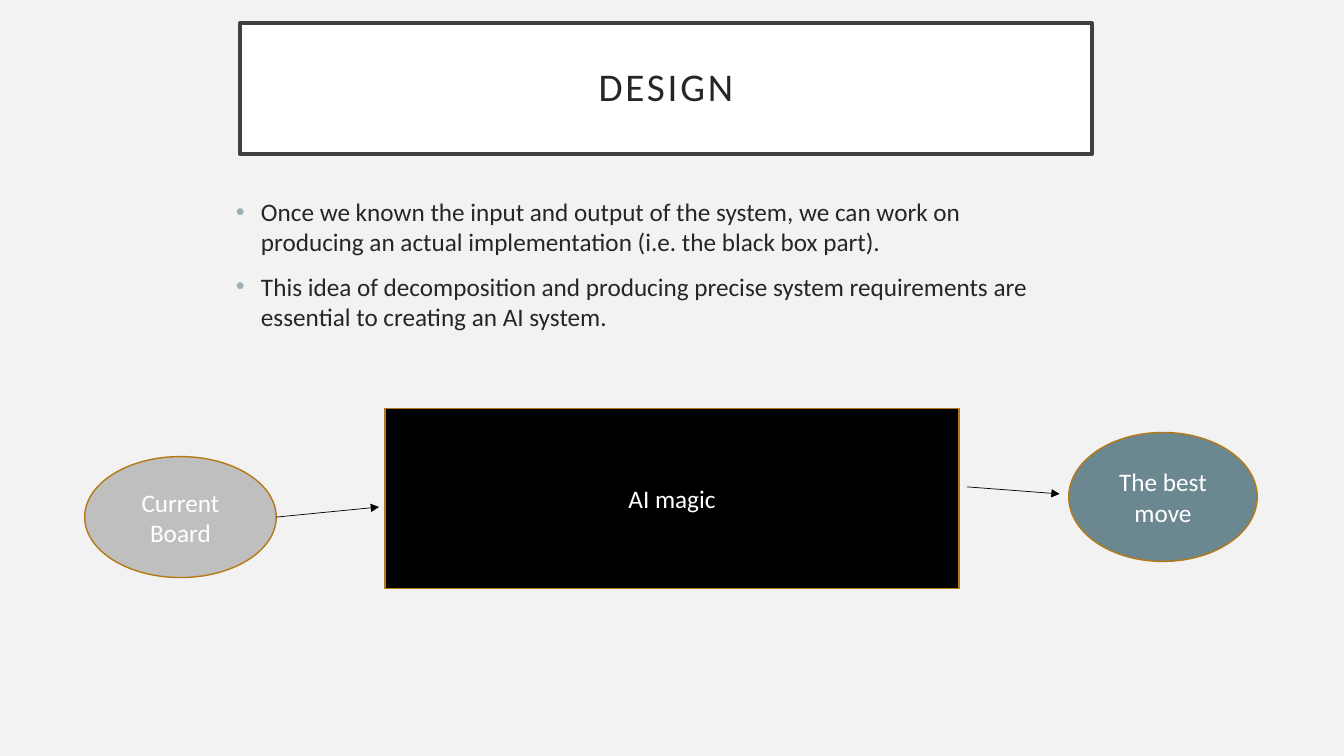
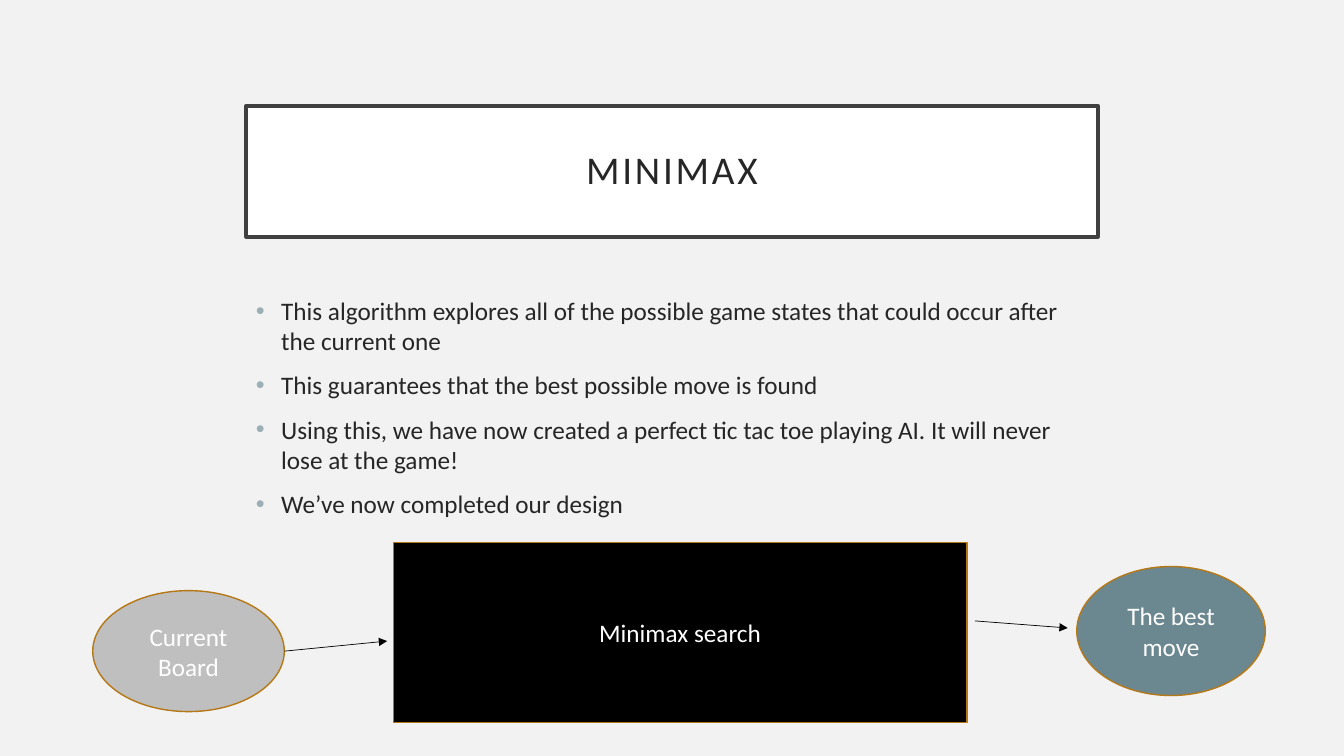
from dataclasses import dataclass

from lxml.etree import SubElement
from pptx import Presentation
from pptx.dml.color import RGBColor
from pptx.enum.shapes import MSO_CONNECTOR, MSO_SHAPE
from pptx.enum.text import MSO_ANCHOR, PP_ALIGN
from pptx.oxml.ns import qn
from pptx.util import Pt

PX = 9144


@dataclass(frozen=True)
class Theme:
    font: str = "Calibri"
    background: str = "F2F2F2"
    title_fill: str = "FFFFFF"
    title_line: str = "404040"
    text: str = "262626"
    bullet: str = "9BAFB5"
    node_text: str = "FFFFFF"
    node_line: str = "B67815"
    box_fill: str = "000000"
    input_fill: str = "BFBFBF"
    output_fill: str = "6B8891"
    arrow: str = "000000"
    title_size: int = 28
    body_size: int = 18
    title_border: float = 2.5
    node_border: float = 1
    arrow_width: float = 0.5
    title_spacing: int = 200


THEME = Theme()
TITLE_SIZE = (845, 130)
BODY_SIZE = (845, 339)

SLIDES = [
    {
        "title": "DESIGN",
        "title_at": (238, 23),
        "bullets": [
            "Once we known the input and output of the system, we can work on "
            "producing an actual implementation (i.e. the black box part).",
            "This idea of decomposition and producing precise system "
            "requirements are essential to creating an AI system.",
        ],
        "bullets_at": (224, 190),
        "process": "AI magic",
        "diagram_at": (84, 405),
    },
    {
        "title": "MINIMAX",
        "title_at": (244, 105),
        "bullets": [
            "This algorithm explores all of the possible game states that "
            "could occur after the current one",
            "This guarantees that the best possible move is found",
            "Using this, we have now created a perfect tic tac toe playing "
            "AI. It will never lose at the game!",
            "We’ve now completed our design",
        ],
        "bullets_at": (244, 288),
        "process": "Minimax search",
        "diagram_at": (92, 538),
    },
]


def emu(*lengths):
    return [length * PX for length in lengths]


def apply_format(target, values):
    for name, value in values.items():
        setattr(target, name, value)


def style_font(font, size, color):
    apply_format(font, {"name": THEME.font, "size": Pt(size)})
    font.color.rgb = RGBColor.from_string(color)


def add_panel(slide, kind, box, label, fill, line, border, size, color):
    panel = slide.shapes.add_shape(kind, *emu(*box))
    panel.shadow.inherit = False
    panel.fill.solid()
    panel.fill.fore_color.rgb = RGBColor.from_string(fill)
    panel.line.color.rgb = RGBColor.from_string(line)
    panel.line.width = Pt(border)
    frame = panel.text_frame
    apply_format(frame, {"word_wrap": True, "vertical_anchor": MSO_ANCHOR.MIDDLE})
    paragraph = frame.paragraphs[0]
    paragraph.alignment = PP_ALIGN.CENTER
    run = paragraph.add_run()
    run.text = label
    style_font(run.font, size, color)
    return frame


def add_title(slide, origin, title):
    frame = add_panel(slide, MSO_SHAPE.RECTANGLE, (*origin, *TITLE_SIZE), title,
                      THEME.title_fill, THEME.title_line, THEME.title_border,
                      THEME.title_size, THEME.text)
    sides = ("left", "top", "right", "bottom")
    apply_format(frame, {f"margin_{side}": 20 * PX for side in sides})
    heading = frame.paragraphs[0]
    heading.line_spacing = 0.9
    properties = heading.runs[0]._r.get_or_add_rPr()
    properties.set("spc", str(THEME.title_spacing))


def add_bullets(slide, origin, bullets):
    frame = slide.shapes.add_textbox(*emu(*origin, *BODY_SIZE)).text_frame
    frame.word_wrap = True
    for index, bullet in enumerate(bullets):
        paragraph = frame.add_paragraph() if index else frame.paragraphs[0]
        paragraph.space_before = Pt(10 if index else 0)
        properties = paragraph._p.get_or_add_pPr()
        properties.set("marL", str(25 * PX))
        properties.set("indent", str(-25 * PX))
        color = SubElement(properties, qn("a:buClr"))
        SubElement(color, qn("a:srgbClr"), val=THEME.bullet)
        SubElement(properties, qn("a:buFont"), typeface="Arial")
        SubElement(properties, qn("a:buChar"), char="•")
        run = paragraph.add_run()
        run.text = bullet
        style_font(run.font, THEME.body_size, THEME.text)


def add_arrow(slide, start, end):
    arrow = slide.shapes.add_connector(MSO_CONNECTOR.STRAIGHT, *emu(*start, *end))
    arrow.line.color.rgb = RGBColor.from_string(THEME.arrow)
    arrow.line.width = Pt(THEME.arrow_width)
    SubElement(arrow.line._get_or_add_ln(), qn("a:tailEnd"), type="triangle")
    SubElement(arrow._element.spPr, qn("a:effectLst"))


def add_diagram(slide, origin, process):
    left, top = origin
    nodes = [
        (MSO_SHAPE.RECTANGLE, (298, 0, 569, 179), process, THEME.box_fill),
        (MSO_SHAPE.OVAL, (0, 48, 190, 120), "Current Board", THEME.input_fill),
        (MSO_SHAPE.OVAL, (976, 24, 187, 128), "The best move", THEME.output_fill),
    ]
    for kind, (x, y, width, height), label, fill in nodes:
        add_panel(slide, kind, (left + x, top + y, width, height), label, fill,
                  THEME.node_line, THEME.node_border, THEME.body_size,
                  THEME.node_text)
    for x1, y1, x2, y2 in [(190, 108, 292, 98), (875, 78, 967, 85)]:
        add_arrow(slide, (left + x1, top + y1), (left + x2, top + y2))


def build_slide(deck, content):
    slide = deck.slides.add_slide(deck.slide_layouts[6])
    slide.background.fill.solid()
    slide.background.fill.fore_color.rgb = RGBColor.from_string(THEME.background)
    add_title(slide, content["title_at"], content["title"])
    add_bullets(slide, content["bullets_at"], content["bullets"])
    add_diagram(slide, content["diagram_at"], content["process"])


def main():
    deck = Presentation()
    deck.slide_width, deck.slide_height = emu(1333, 750)
    for content in SLIDES:
        build_slide(deck, content)
    deck.save("out.pptx")


if __name__ == "__main__":
    main()
